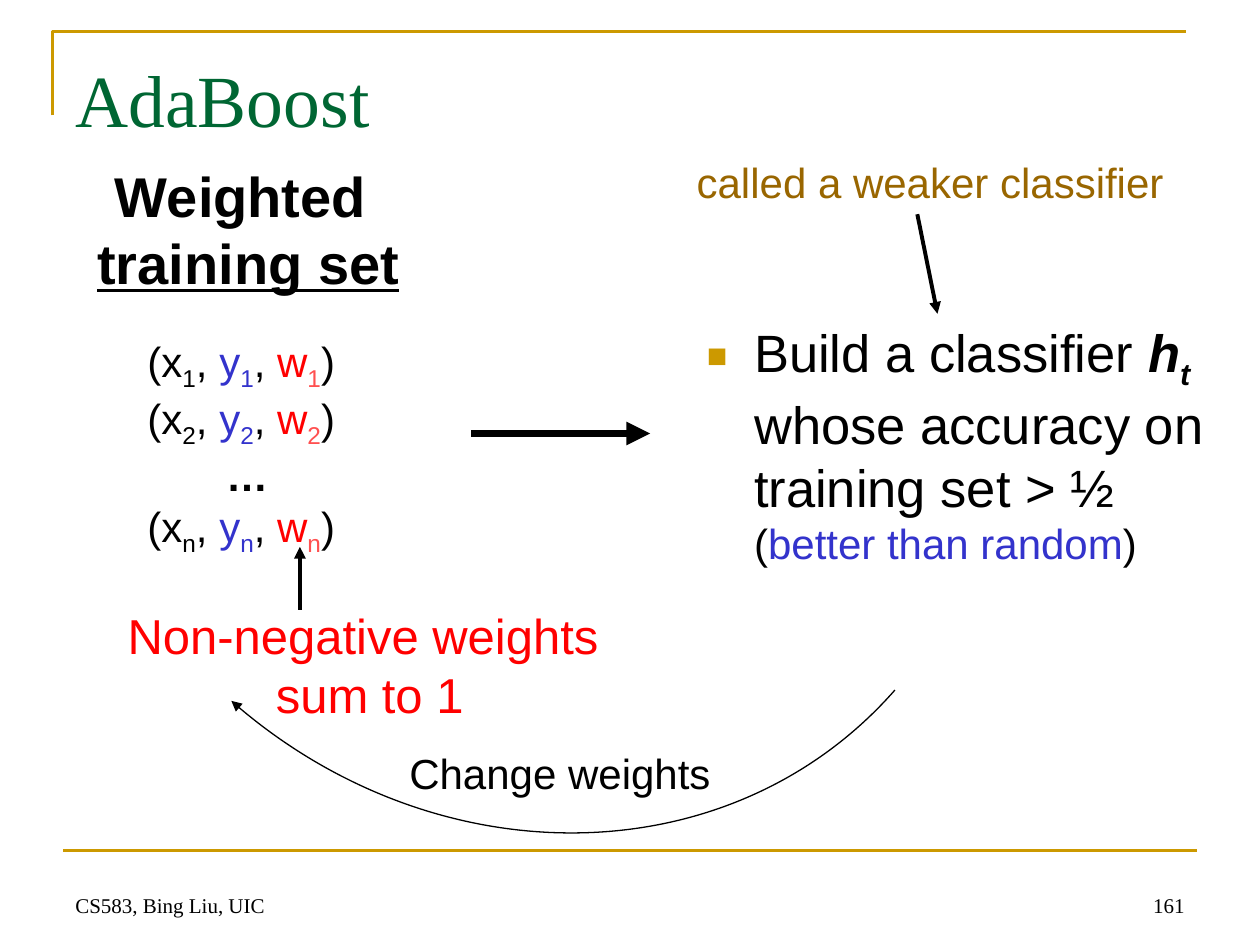
from lxml import etree
from pptx import Presentation
from pptx.dml.color import RGBColor
from pptx.enum.shapes import MSO_CONNECTOR
from pptx.enum.text import MSO_ANCHOR, MSO_AUTO_SIZE, PP_ALIGN
from pptx.oxml.ns import qn
from pptx.util import Pt

STRAIGHT = MSO_CONNECTOR.STRAIGHT
TOP, BOTTOM = MSO_ANCHOR.TOP, MSO_ANCHOR.BOTTOM
LEFT, CENTER, RIGHT = PP_ALIGN.LEFT, PP_ALIGN.CENTER, PP_ALIGN.RIGHT
FIXED, GROW = MSO_AUTO_SIZE.NONE, MSO_AUTO_SIZE.SHAPE_TO_FIT_TEXT

COLORS = {
    "black": "000000", "gold": "CC9900", "brown": "996600", "green": "006633",
    "blue": "3333CC", "red": "FF0000", "light_red": "FF5050",
}
SANS, SERIF = "Arial", "Times New Roman"
BEZIER_QUARTER = 0.5523


def rgb(name):
    return RGBColor.from_string(COLORS[name])


def add_run(paragraph, text, size, color="black", font=SANS, bold=False,
            italic=False, underline=False, subscript=False):
    run = paragraph.add_run()
    run.text = text
    run.font.size = Pt(size)
    run.font.name = font
    run.font.bold = bold
    run.font.italic = italic
    run.font.underline = underline
    run.font.color.rgb = rgb(color)
    if subscript:
        run._r.get_or_add_rPr().set("baseline", "-25000")


def place(holder, left, top, width, height):
    holder.left, holder.top = Pt(left), Pt(top)
    holder.width, holder.height = Pt(width), Pt(height)


def format_frame(frame, wrap=True, anchor=TOP, auto_size=GROW):
    frame.word_wrap = wrap
    frame.vertical_anchor = anchor
    frame.auto_size = auto_size
    return frame


def add_text(slide, box, lines, align=LEFT, wrap=True, anchor=TOP, auto_size=GROW):
    label = slide.shapes.add_textbox(*map(Pt, box))
    frame = format_frame(label.text_frame, wrap, anchor, auto_size)
    for index, runs in enumerate(lines):
        paragraph = frame.add_paragraph() if index else frame.paragraphs[0]
        paragraph.alignment = align
        for text, style in runs:
            add_run(paragraph, text, **style)
    return frame


def add_caption(slide, box, text, color):
    frame = add_text(slide, box, [[(text, dict(size=24, color=color))]])
    frame.paragraphs[0].space_before = Pt(15)


def format_line(line, color, weight, arrow_end=None):
    line.color.rgb = rgb(color)
    line.width = Pt(weight)
    if arrow_end:
        etree.SubElement(line._get_or_add_ln(), qn(f"a:{arrow_end}")).set("type", "triangle")


def add_line(slide, start, end, color="black", weight=2.25, arrow_end="tailEnd"):
    connector = slide.shapes.add_connector(STRAIGHT, *map(Pt, start + end))
    format_line(connector.line, color, weight, arrow_end)
    etree.SubElement(connector._element.spPr, qn("a:effectLst"))


def add_outline(slide, points, color, weight, origin=(0, 0), arrow_end=None):
    start, *rest = [(Pt(x), Pt(y)) for x, y in points]
    builder = slide.shapes.build_freeform(*start)
    builder.add_line_segments(rest, close=False)
    outline = builder.convert_to_shape(*map(Pt, origin))
    outline.fill.background()
    outline.shadow.inherit = False
    format_line(outline.line, color, weight, arrow_end)
    return outline


def add_feedback_arc(slide, left, top, width, height, rotation):
    arc = add_outline(slide, [(0, height), (width, 0)], "black", 0.75,
                      origin=(left, top), arrow_end="headEnd")
    arc.rotation = rotation
    chord = next(arc._element.iter(qn("a:lnTo")))
    curve = etree.Element(qn("a:cubicBezTo"))
    w, h = arc.width, arc.height
    for x, y in [(BEZIER_QUARTER * w, h), (w, BEZIER_QUARTER * h), (w, 0)]:
        point = etree.SubElement(curve, qn("a:pt"))
        point.set("x", str(round(x)))
        point.set("y", str(round(y)))
    chord.getparent().replace(chord, curve)


def add_title(slide, text):
    title = slide.shapes.title
    place(title, 36, 21.6, 648, 90)
    frame = format_frame(title.text_frame, auto_size=FIXED)
    frame.margin_top = Pt(9)
    frame.paragraphs[0].alignment = LEFT
    add_run(frame.paragraphs[0], text, 42, "green", SERIF)


def add_classifier_step(slide):
    step = slide.placeholders[1]
    place(step, 396.7, 179.3, 303.1, 149)
    paragraph = format_frame(step.text_frame, auto_size=FIXED).paragraphs[0]
    paragraph.space_before = Pt(15)
    properties = paragraph._p.get_or_add_pPr()
    properties.set("marL", str(Pt(27)))
    properties.set("indent", str(Pt(-27)))
    bullet_color = etree.SubElement(properties, qn("a:buClr"))
    etree.SubElement(bullet_color, qn("a:srgbClr")).set("val", COLORS["gold"])
    etree.SubElement(properties, qn("a:buSzPct")).set("val", "65000")
    etree.SubElement(properties, qn("a:buFont")).set("typeface", SANS)
    etree.SubElement(properties, qn("a:buChar")).set("char", "■")
    add_run(paragraph, "Build a classifier ", 30)
    add_run(paragraph, "h", 30, bold=True, italic=True)
    add_run(paragraph, "t", 30, bold=True, italic=True, subscript=True)
    add_run(paragraph, " whose accuracy on training set > ½ ", 30)
    add_run(paragraph, "(", 24)
    add_run(paragraph, "better than random", 24, "blue")
    add_run(paragraph, ")", 24)


def weighted_example(index):
    parts = [("(x", "black", "black"), ("y", "blue", "blue"), ("w", "red", "light_red")]
    runs = []
    for symbol, color, index_color in parts:
        if runs:
            runs.append((", ", dict(size=24)))
        runs.append((symbol, dict(size=24, color=color)))
        runs.append((index, dict(size=24, color=index_color, subscript=True)))
    return runs + [(")", dict(size=24))]


def add_training_set(slide):
    heading = dict(size=32, bold=True)
    add_text(slide, (39.6, 88.6, 195.8, 84.2),
             [[("Weighted", heading)],
              [(" ", heading), ("training set", dict(heading, underline=True))]],
             CENTER, wrap=False)
    ellipsis = [(" ", dict(size=24)), ("…", dict(size=24, bold=True))]
    add_text(slide, (77, 187.9, 121.7, 134.6),
             [weighted_example("1"), weighted_example("2"), ellipsis, weighted_example("n")],
             CENTER, wrap=False)
    add_line(slide, (171.4, 348.5), (171.4, 312.5))
    weights = dict(size=28, color="red")
    add_text(slide, (63.4, 342.7, 288, 74.9),
             [[("Non-negative weights", weights)], [(" sum to 1", weights)]], CENTER)


def add_footer(slide):
    style = dict(size=12, font=SERIF)
    for left, width, text, align in [(36, 438, "CS583, Bing Liu, UIC", LEFT),
                                     (516, 168, "161", RIGHT)]:
        add_text(slide, (left, 492, width, 36), [[(text, style)]], align,
                 anchor=BOTTOM, auto_size=FIXED)


def main():
    deck = Presentation()
    deck.slide_width, deck.slide_height = Pt(720), Pt(540)
    slide = deck.slides.add_slide(deck.slide_layouts[1])
    add_outline(slide, [(30, 66), (30, 18), (678, 18)], "gold", 1.5)
    add_line(slide, (36, 486), (684, 486), "gold", 1.5, None)
    add_footer(slide)
    add_title(slide, "AdaBoost")
    add_training_set(slide)
    add_line(slide, (269.3, 247.7), (371.5, 247.7), weight=4.5)
    add_classifier_step(slide)
    add_feedback_arc(slide, 181.4, 270, 280.8, 254.9, 41.3)
    add_caption(slide, (226.8, 423.4, 195.8, 36), "Change weights", "black")
    add_caption(slide, (391, 85.7, 329, 36), "called a weaker classifier", "brown")
    add_line(slide, (524.2, 122.4), (535.7, 179.3))
    deck.save("out.pptx")


if __name__ == "__main__":
    main()
